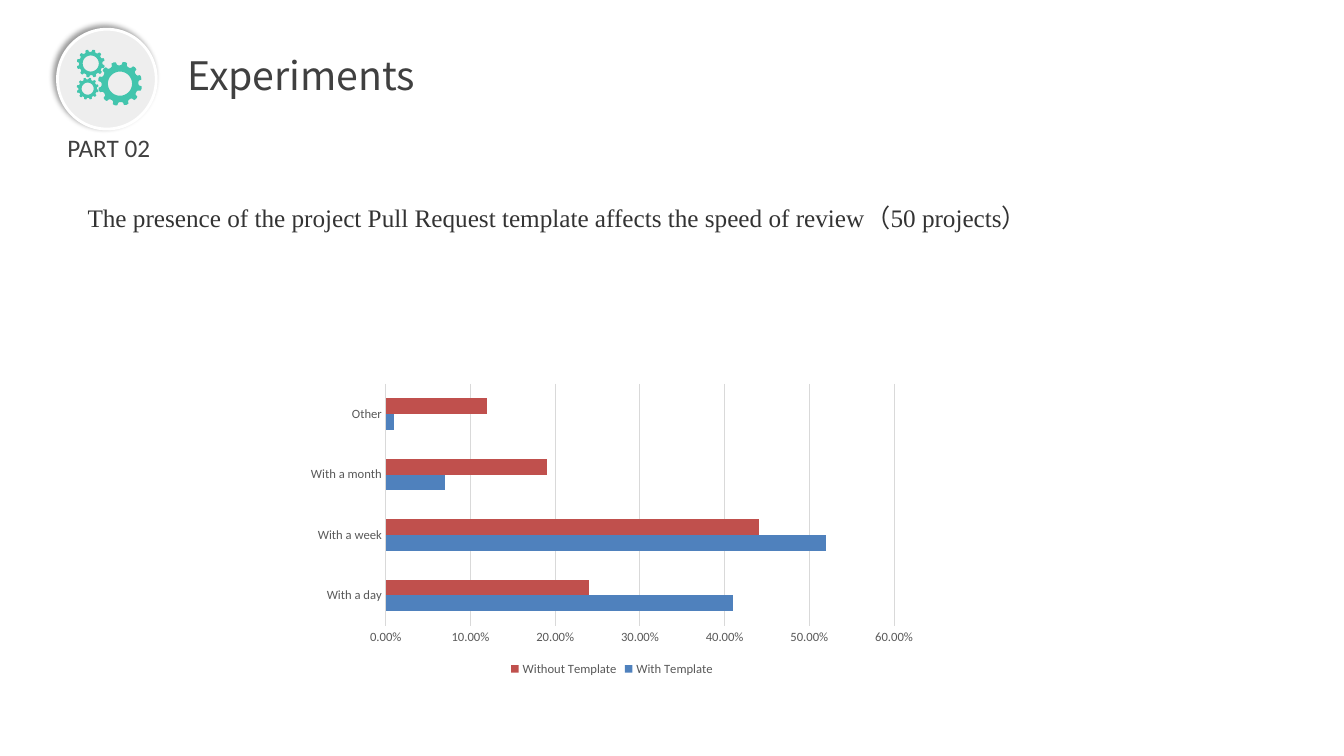
import math
from lxml import etree
from pptx import Presentation
from pptx import util as u
from pptx.chart import data as chart_data
from pptx.dml import color
from pptx.enum import chart as ch, shapes, text
from pptx.oxml import ns

COLORS = {"ink": "404040", "statement": "333333", "disc": "EEEEEE",
          "rim": "FFFFFF", "gear": "43C5AD", "axis_text": "595959",
          "grid": "D9D9D9", "with": "4F81BD", "without": "C0504D",
          "shadow": "000000"}
CATEGORIES = ["With a day", "With a week", "With a month", "Other"]
SERIES = [("With Template", [0.41, 0.52, 0.07, 0.01], "with"),
          ("Without Template", [0.24, 0.44, 0.19, 0.12], "without")]
GEARS = [(0.62, 0.54, 0.22, 0.12), (0.33, 0.34, 0.14, 0.08),
         (0.3, 0.59, 0.11, 0.06)]
TEETH = 12
TOOTH = [(-12, 0.83), (-8, 0.86), (-6, 0.98), (0, 1),
         (6, 0.98), (8, 0.86), (12, 0.83)]


def rgb(name):
    """Return the named colour."""
    return color.RGBColor.from_string(COLORS[name])


def apply(target, **values):
    """Set each given attribute on the target."""
    for key, value in values.items():
        setattr(target, key, value)


def style_font(font, name, size, ink):
    """Set the face, size and colour of a font."""
    apply(font, name=name, size=u.Pt(size))
    font.color.rgb = rgb(ink)


def write(shape, wording, face, size, ink, wrap=True,
          align=text.PP_ALIGN.LEFT, anchor=text.MSO_ANCHOR.TOP):
    """Put one formatted line of text into a shape."""
    frame = shape.text_frame
    apply(frame, word_wrap=wrap, vertical_anchor=anchor,
          auto_size=text.MSO_AUTO_SIZE.NONE)
    line = frame.paragraphs[0]
    line.alignment = align
    run = line.add_run()
    run.text = wording
    style_font(run.font, face, size, ink)


def circle_points(x, y, profile):
    """Turn angle and radius pairs into slide points."""
    return [(u.Inches(x + r * math.cos(math.radians(a))),
             u.Inches(y + r * math.sin(math.radians(a))))
            for a, r in profile]


def add_gear(group, x, y, outer, hole):
    """Draw a toothed wheel with a round hole."""
    rim = [(13 + 360 / TEETH * tooth + angle, outer * factor)
           for tooth in range(TEETH) for angle, factor in TOOTH]
    bore = [(angle, hole) for angle in range(0, 360, 10)]
    first, *rest = circle_points(x, y, rim)
    builder = group.shapes.build_freeform(*first)
    builder.add_line_segments(rest, close=True)
    first, *rest = circle_points(x, y, bore)
    builder.move_to(*first)
    builder.add_line_segments(rest, close=True)
    gear = builder.convert_to_shape()
    gear.shadow.inherit = False
    gear.fill.solid()
    gear.fill.fore_color.rgb = rgb("gear")
    gear.line.fill.background()


def add_shadow(shape):
    """Cast a soft shadow to the upper left."""
    shape.shadow.inherit = False
    effects = shape._element.spPr.find(ns.qn("a:effectLst"))
    shadow = etree.SubElement(effects, ns.qn("a:outerShdw"),
                              blurRad=str(u.Pt(4)), dist=str(u.Pt(3)),
                              dir=str(225 * 60000), algn="br",
                              rotWithShape="0")
    tint = etree.SubElement(shadow, ns.qn("a:srgbClr"), val=COLORS["shadow"])
    etree.SubElement(tint, ns.qn("a:alpha"), val="40000")


def add_badge(slide, left, top, width, height):
    """Draw the disc with its three gears."""
    badge = slide.shapes.add_group_shape()
    disc = badge.shapes.add_shape(
        shapes.MSO_SHAPE.OVAL,
        *map(u.Inches, (left, top, width, height)))
    disc.fill.solid()
    disc.fill.fore_color.rgb = rgb("disc")
    disc.line.color.rgb = rgb("rim")
    disc.line.width = u.Pt(2)
    add_shadow(disc)
    for x, y, outer, hole in GEARS:
        add_gear(badge, left + x, top + y, outer, hole)


def add_header(slide, left, top):
    """Place the badge, part number and title."""
    add_badge(slide, left, top, 0.98, 0.99)
    part = slide.shapes.add_textbox(
        *map(u.Inches, (left, top + 0.97, 1.09, 0.4)))
    write(part, "PART 02 ", "Calibri", 18, "ink", wrap=False)
    title = slide.shapes.title
    apply(title, left=u.Inches(left + 0.7), top=u.Inches(top + 0.17),
          width=u.Inches(3.52), height=u.Inches(0.57))
    write(title, "Experiments ", "Noto Sans CJK SC", 28, "ink",
          align=text.PP_ALIGN.CENTER, anchor=text.MSO_ANCHOR.MIDDLE)


def add_statement(slide, *box):
    """Place the sentence above the chart."""
    statement = slide.shapes.add_textbox(*map(u.Inches, box))
    write(statement, "The presence of the project Pull Request template "
          "affects the speed of review（50 projects）",
          "Times New Roman", 18, "statement")


def add_review_chart(slide, *box):
    """Place the bar chart of review times."""
    review = chart_data.CategoryChartData(number_format="0.00%")
    review.categories = CATEGORIES
    for name, shares, _ in SERIES:
        review.add_series(name, shares)
    chart = slide.shapes.add_chart(
        ch.XL_CHART_TYPE.BAR_CLUSTERED,
        *map(u.Inches, box), review).chart
    apply(chart, has_title=False, has_legend=True)
    style_font(chart.font, "Calibri", 10, "shadow")
    apply(chart.legend, position=ch.XL_LEGEND_POSITION.BOTTOM,
          include_in_layout=False)
    style_font(chart.legend.font, "Calibri", 9, "axis_text")
    plot = chart.plots[0]
    apply(plot, gap_width=182, overlap=0, vary_by_categories=False)
    for series, (_, _, fill) in zip(plot.series, SERIES):
        series.format.fill.solid()
        series.format.fill.fore_color.rgb = rgb(fill)
    periods, shares = chart.category_axis, chart.value_axis
    for axis in (periods, shares):
        apply(axis, major_tick_mark=ch.XL_TICK_MARK.NONE,
              minor_tick_mark=ch.XL_TICK_MARK.NONE)
        style_font(axis.tick_labels.font, "Calibri", 9, "axis_text")
    apply(shares, minimum_scale=0, maximum_scale=0.6, major_unit=0.1,
          has_major_gridlines=True)
    apply(shares.tick_labels, number_format="0.00%",
          number_format_is_linked=False)
    shares.format.line.fill.background()
    for line in (periods.format.line, shares.major_gridlines.format.line):
        line.color.rgb = rgb("grid")
        line.width = u.Pt(0.75)


def main():
    """Build and save the slide."""
    deck = Presentation()
    apply(deck, slide_width=u.Inches(13.33), slide_height=u.Inches(7.5))
    slide = deck.slides.add_slide(deck.slide_layouts[5])
    add_header(slide, 0.57, 0.29)
    add_review_chart(slide, 2.96, 3.75, 6.22, 3)
    add_statement(slide, 0.77, 1.96, 10.7, 0.4)
    deck.save("out.pptx")


main()
